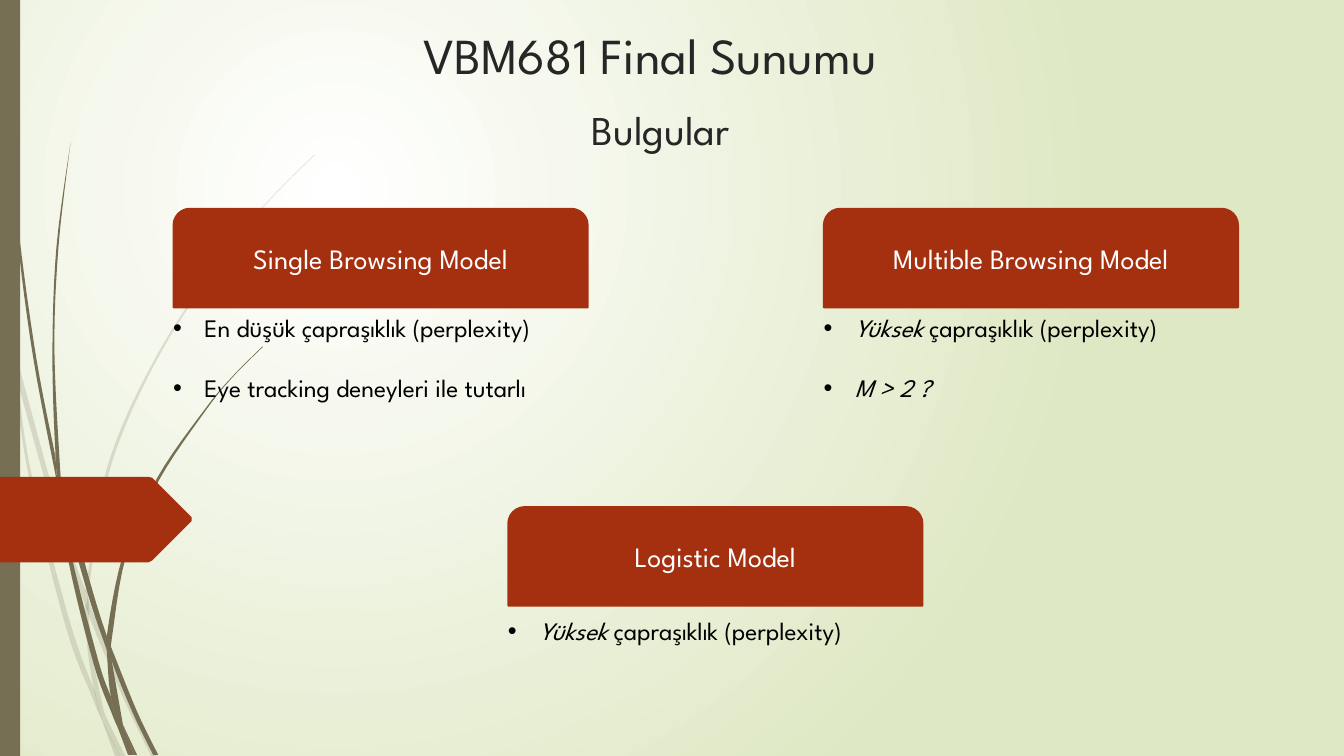
from lxml.etree import SubElement
from pptx import Presentation
from pptx.dml.color import RGBColor
from pptx.enum.shapes import MSO_SHAPE as SHAPE
from pptx.enum.text import MSO_ANCHOR as ANCHOR, MSO_AUTO_SIZE as AUTO, PP_ALIGN as ALIGN
from pptx.oxml.ns import qn
from pptx.util import Inches, Pt

COLORS = {"olive": "766F54", "rust": "A53010", "heading": "262626", "body": "000000",
          "on_card": "FFFFFF", "glow": "FFFFFF", "meadow": "DFE8C4"}
FONT = "League Spartan"
CELL = Inches(1)  # the grid has square cells
COLUMNS, ROWS = 13.33, 7.5

# Each grass piece is its two long edges, in grid cells, traced around the outline.
PALE_GRASS = [
    ([(0.11, 3.5), (0.09, 3.22), (0, 2.82)], [(0, 2.99), (0.1, 3.44)]),
    ([(0.14, 3.45), (0.17, 3.76), (0.58, 5.22), (0.84, 5.99)],
     [(0.85, 5.86), (0.62, 5.2), (0.14, 3.45)]),
    ([(0.88, 5.96), (0.88, 6.1), (1.23, 6.94), (1.5, 7.5)],
     [(1.55, 7.5), (1.27, 6.92), (0.92, 6.07), (0.88, 5.96)]),
    ([(1.05, 7.11), (1.19, 7.5)], [(1.24, 7.5), (1.05, 7.11)]),
    ([(0.11, 3.5), (0.28, 4.7), (0.65, 6.21), (0.92, 6.93), (1.01, 7.14)],
     [(0.93, 6.83), (0.7, 6.19), (0.31, 4.69), (0.17, 3.76), (0.11, 3.5)]),
    ([(0.84, 5.99), (0.87, 6.46), (0.93, 6.83), (0.96, 6.92), (1.05, 7.11)],
     [(1.03, 7.06), (0.91, 6.46), (0.88, 6.08), (0.84, 5.99)]),
    ([(0.88, 5.96), (0.88, 5.84), (1.1, 4.62), (1.6, 3.49), (2.29, 2.45), (2.68, 1.98),
      (3.12, 1.54)],
     [(3.12, 1.53), (2.68, 1.97), (2.28, 2.44), (1.58, 3.48), (1.07, 4.61), (0.85, 5.84),
      (0.85, 5.86)]),
    ([(1.01, 7.14), (1.14, 7.5)], [(1.19, 7.5), (1.01, 7.14)]),
    ([(0.88, 6.1), (0.88, 5.96), (0.85, 5.86)], [(0.84, 5.99), (0.88, 6.08)]),
    ([(0.93, 6.83), (1.01, 7.14), (1.19, 7.5)], [(1.05, 7.11), (0.96, 6.92)]),
]
DARK_GRASS = [
    ([(0.03, 0), (0.07, 1.1), (0.17, 2.33), (0.33, 3.55), (0.57, 4.81)],
     [(0.55, 4.53), (0.36, 3.55), (0.19, 2.32), (0.08, 1.09), (0.04, 0)]),
    ([(0.6, 4.72), (0.64, 5.05), (0.88, 5.92), (1.06, 6.45)],
     [(1.06, 6.31), (0.93, 5.9), (0.6, 4.72)]),
    ([(1.1, 6.41), (1.11, 6.56), (1.32, 7.08), (1.52, 7.49)],
     [(1.57, 7.49), (1.36, 7.06), (1.13, 6.49), (1.1, 6.41)]),
    ([(0.57, 4.77), (0.68, 5.57), (0.93, 6.59), (1.11, 7.08), (1.17, 7.22)],
     [(1.1, 6.91), (0.98, 6.57), (0.72, 5.56), (0.64, 5.05), (0.57, 4.77)]),
    ([(0.6, 4.72), (0.54, 3.49), (0.58, 2.45), (0.7, 1.41)],
     [(0.7, 1.41), (0.56, 2.45), (0.52, 3.49), (0.55, 4.49), (0.6, 4.72)]),
    ([(1.22, 7.19), (1.33, 7.49)], [(1.36, 7.49), (1.22, 7.19)]),
    ([(0.55, 4.49), (0.57, 4.77), (0.64, 5.05)], [(0.6, 4.72), (0.55, 4.49)]),
    ([(1.11, 6.33), (1.25, 5.52), (1.58, 4.76), (2.05, 4.06), (2.31, 3.74), (2.61, 3.44)],
     [(2.6, 3.44), (2.31, 3.73), (2.04, 4.05), (1.56, 4.74), (1.22, 5.51), (1.06, 6.31),
      (1.1, 6.41)]),
    ([(1.17, 7.22), (1.27, 7.49)], [(1.31, 7.49), (1.17, 7.22)]),
    ([(1.06, 6.45), (1.1, 6.91), (1.22, 7.19)], [(1.11, 6.56), (1.06, 6.45)]),
    ([(1.06, 6.31), (1.06, 6.45), (1.11, 6.56)], [(1.1, 6.41), (1.06, 6.31)]),
    ([(1.1, 6.91), (1.17, 7.22), (1.3, 7.49)], [(1.33, 7.49), (1.22, 7.19), (1.1, 6.91)]),
]
PAGE_ARROW = ([(0, 4.73), (1.47, 4.73)], [(1.51, 4.74), (1.9, 5.13)],
              [(1.9, 5.17), (1.51, 5.56)], [(1.47, 5.58), (0, 5.58)])

PERPLEXITY = "çapraşıklık (perplexity)"
HIGH_PERPLEXITY = [("Yüksek ", True), (PERPLEXITY, False)]
# model name, card position, top of its findings, findings as (text, italic) runs
MODELS = [
    ("Single Browsing Model", (1.72, 2.07), 3.05,
     [[("En düşük " + PERPLEXITY, False)], [("Eye tracking deneyleri ile tutarlı", False)]]),
    ("Multible Browsing Model", (8.17, 2.07), 3.05, [HIGH_PERPLEXITY, [("M > 2 ?", True)]]),
    ("Logistic Model", (5.04, 5.03), 6.06, [HIGH_PERPLEXITY]),
]


def smooth(knots, steps=6):
    """Points of a Catmull-Rom curve through the knots; two knots stay a straight line."""
    if len(knots) < 3:
        return knots
    padded = [knots[0], *knots, knots[-1]]
    points = [knots[0]]
    for a, b, c, d in zip(padded, padded[1:], padded[2:], padded[3:]):
        for t in (step / steps for step in range(1, steps + 1)):
            points.append(tuple(
                q + t / 2 * (r - p + t * (2 * p - 5 * q + 4 * r - s + t * (3 * (q - r) + s - p)))
                for p, q, r, s in zip(a, b, c, d)))
    return points


class FindingsSlide:
    def __init__(self, deck):
        self.slide = deck.slides.add_slide(deck.slide_layouts[5])
        self.shapes = self.slide.shapes

    def cells(self, *lengths):
        return [int(length * CELL) for length in lengths]

    def color(self, name):
        return RGBColor.from_string(COLORS[name])

    def style(self, paragraph, size, color):
        paragraph.font.name, paragraph.font.size = FONT, Pt(size)
        paragraph.font.color.rgb = self.color(color)

    def paint(self, shape, color, outline=None):
        shape.shadow.inherit = False
        shape.fill.solid()
        shape.fill.fore_color.rgb = self.color(color)
        if outline:
            shape.line.color.rgb, shape.line.width = self.color(color), Pt(outline)
        else:
            shape.line.fill.background()

    def background(self, center, edge):
        fill = self.slide.background.fill
        fill.gradient()
        for stop, name, position in zip(fill.gradient_stops, (center, edge), (0, 1)):
            stop.color.rgb, stop.position = self.color(name), position
        gradient = self.slide._element.find(".//" + qn("a:gradFill"))
        gradient.remove(gradient.find(qn("a:lin")))
        circle = SubElement(gradient, qn("a:path"), path="circle")
        SubElement(circle, qn("a:fillToRect"), l="50000", t="50000", r="100000", b="100000")

    def outline(self, shapes, edges, color, opacity=100):
        points = [self.cells(*point) for edge in edges for point in smooth(edge)]
        builder = shapes.build_freeform(*points[0])
        builder.add_line_segments(points[1:], close=True)
        shape = builder.convert_to_shape()
        self.paint(shape, color)
        if opacity < 100:
            tint = shape._element.spPr.find(".//" + qn("a:srgbClr"))
            SubElement(tint, qn("a:alpha"), val=str(opacity * 1000))

    def grass(self, pieces, opacity=100):
        tuft = self.shapes.add_group_shape()
        for edges in pieces:
            self.outline(tuft.shapes, edges, "olive", opacity)

    def bar(self, *box):
        self.paint(self.shapes.add_shape(SHAPE.RECTANGLE, *self.cells(*box)), "olive")

    def title(self, text, *box):
        title = self.shapes.title
        title.left, title.top, title.width, title.height = self.cells(*box)
        self.heading(title.text_frame, text, 36)
        title.text_frame.margin_left, title.text_frame.margin_bottom = self.cells(0.6, 0.08)

    def subtitle(self, text, *box):
        self.heading(self.shapes.add_textbox(*self.cells(*box)).text_frame, text, 29.2)

    def heading(self, frame, text, size):
        frame.text, frame.word_wrap, frame.auto_size = text, True, AUTO.NONE
        frame.vertical_anchor = ANCHOR.BOTTOM
        frame.paragraphs[0].alignment = ALIGN.LEFT
        self.style(frame.paragraphs[0], size, "heading")

    def card(self, text, left, top):
        card = self.shapes.add_shape(SHAPE.ROUND_2_SAME_RECTANGLE,
                                     *self.cells(left, top, 4.11, 0.98))
        self.paint(card, "rust", outline=1.25)
        frame = card.text_frame
        frame.text, frame.word_wrap, frame.vertical_anchor = text, True, ANCHOR.MIDDLE
        name = frame.paragraphs[0]
        name.alignment, name.line_spacing = ALIGN.CENTER, 0.9
        self.style(name, 20, "on_card")

    def bullets(self, findings, left, top):
        box = self.shapes.add_textbox(*self.cells(left, top, 4.36, 0.4 + 0.6 * (len(findings) - 1)))
        frame = box.text_frame
        frame.word_wrap = True
        for index, runs in enumerate(findings):
            finding = frame.add_paragraph() if index else frame.paragraphs[0]
            self.style(finding, 18, "body")
            if index:
                finding.space_before = Pt(21.5)
            for text, italic in runs:
                run = finding.add_run()
                run.text, run.font.italic = text, italic
            properties = finding._p.get_or_add_pPr()
            indent = Inches(0.31)
            properties.set("marL", str(indent))
            properties.set("indent", str(-indent))
            mark_font = properties.makeelement(qn("a:buFont"), {"typeface": "Arial"})
            mark = properties.makeelement(qn("a:buChar"), {"char": "•"})
            properties.find(qn("a:defRPr")).addprevious(mark_font)
            mark_font.addnext(mark)


def main():
    deck = Presentation()
    deck.slide_width, deck.slide_height = Inches(COLUMNS), Inches(ROWS)
    page = FindingsSlide(deck)
    page.background("glow", "meadow")
    page.grass(PALE_GRASS, opacity=20)
    page.grass(DARK_GRASS)
    page.bar(0, 0, 0.2, ROWS)
    page.outline(page.shapes, PAGE_ARROW, "rust")
    page.title("VBM681 Final Sunumu", 3.6, 0, 6.14, 0.92)
    page.subtitle("Bulgular", 5.77, 1.03, 1.79, 0.54)
    for name, (left, top), findings_top, findings in MODELS:
        page.card(name, left, top)
        page.bullets(findings, left - 0.1, findings_top)
    deck.save("out.pptx")


if __name__ == "__main__":
    main()
